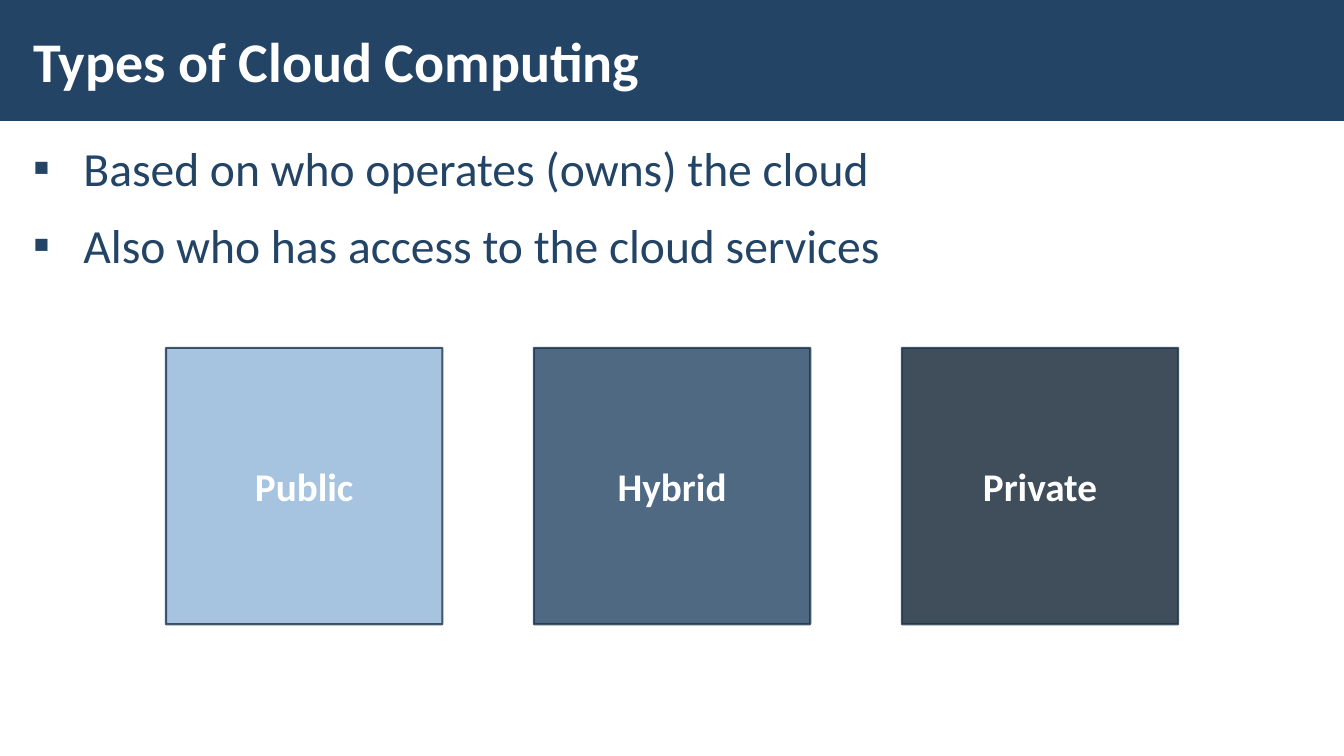
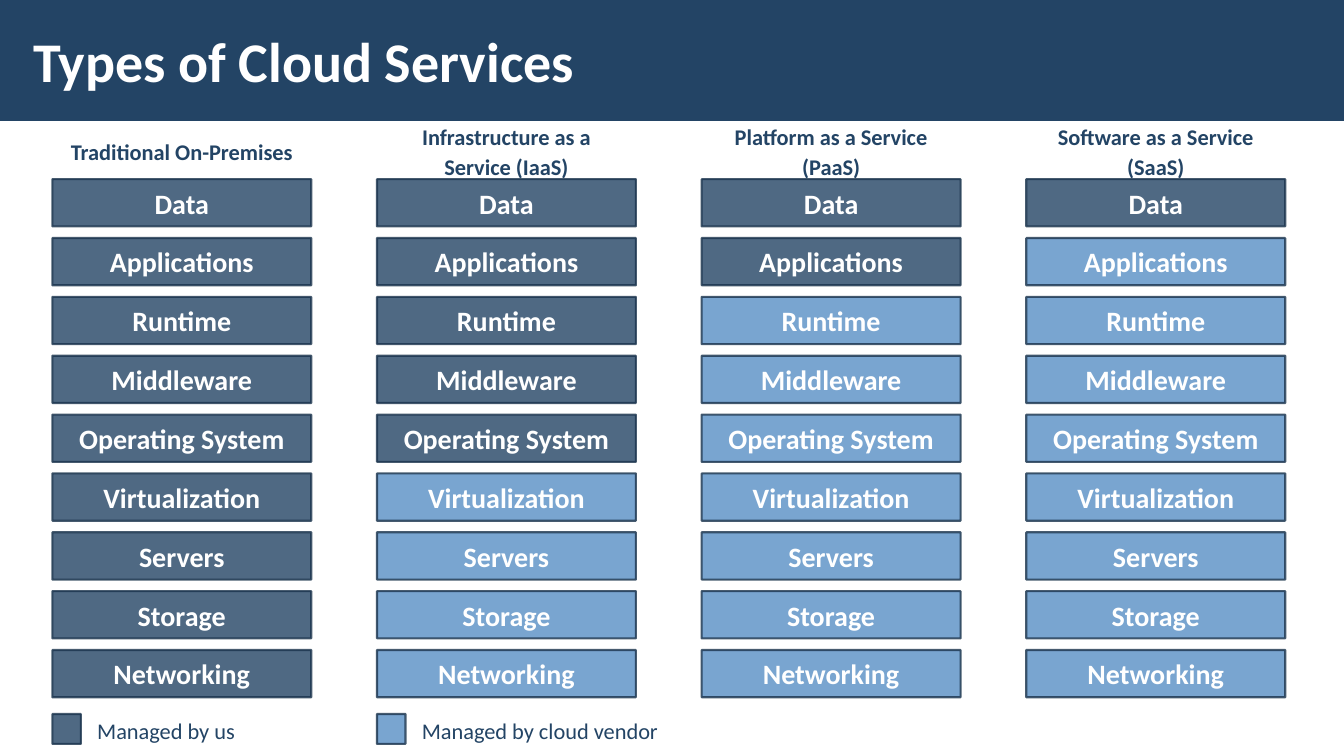
import pptx
import pptx.dml.color
import pptx.enum.shapes
import pptx.enum.text
import pptx.oxml.ns
import pptx.util
from lxml import etree

Pt = pptx.util.Pt
ALIGN = pptx.enum.text.PP_ALIGN
ANCHOR = pptx.enum.text.MSO_ANCHOR
qn = pptx.oxml.ns.qn

# Shared style
FONT = "Calibri"
NAVY, BLUE, PALE, DARK = "234465", "588FC5", "90B4D8", "112233"
OUTLINE, WHITE = "1A334C", "FFFFFF"
SLIDE_W, SLIDE_H = 960, 540
BAND_H = 86.4

LAYERS = ["Data", "Applications", "Runtime", "Middleware", "Operating System",
          "Virtualization", "Servers", "Storage", "Networking"]
# Service model and the number of layers, from the top, managed by us
MODELS = [("Traditional On-Premises", 9),
          ("Infrastructure as a Service (IaaS)", 5),
          ("Platform as a Service (PaaS)", 2),
          ("Software as a Service (SaaS)", 1)]
COL_LEFT, COL_STEP, COL_W = 37.4, 231.9, 185


def rgb(color):
    return pptx.dml.color.RGBColor.from_string(color)


def set_alpha(sp, percent):
    """Make the fill and the line of a shape partly transparent."""
    for clr in sp._element.spPr.iter(qn("a:srgbClr")):
        etree.SubElement(clr, qn("a:alpha")).set("val", str(percent * 1000))


def style_text(tf, size, color, bold=False, align=ALIGN.LEFT,
               anchor=ANCHOR.MIDDLE, inset=(7.2, 3.6), spacing=None):
    tf.word_wrap = True
    tf.auto_size = pptx.enum.text.MSO_AUTO_SIZE.NONE
    tf.vertical_anchor = anchor
    tf.margin_left = tf.margin_right = Pt(inset[0])
    tf.margin_top = tf.margin_bottom = Pt(inset[1])
    for p in tf.paragraphs:
        p.alignment = align
        if spacing:
            p.line_spacing = spacing
        for r in p.runs:
            r.font.name, r.font.size, r.font.bold = FONT, Pt(size), bold
            r.font.color.rgb = rgb(color)


def place(sp, x, y, w, h):
    sp.left, sp.top, sp.width, sp.height = Pt(x), Pt(y), Pt(w), Pt(h)


def add_box(s, x, y, w, h, fill, text="", size=20):
    sp = s.shapes.add_shape(pptx.enum.shapes.MSO_SHAPE.RECTANGLE,
                            Pt(x), Pt(y), Pt(w), Pt(h))
    sp.shadow.inherit = False
    sp.fill.solid()
    sp.fill.fore_color.rgb = rgb(fill)
    sp.line.color.rgb = rgb(OUTLINE)
    sp.line.width = Pt(1.5)
    set_alpha(sp, 80)
    if text:
        sp.text_frame.text = text
        style_text(sp.text_frame, size, WHITE, True, ALIGN.CENTER)


def add_label(s, x, y, w, h, text, bold=False, align=ALIGN.LEFT):
    tf = s.shapes.add_textbox(Pt(x), Pt(y), Pt(w), Pt(h)).text_frame
    tf.text = text
    style_text(tf, 16, NAVY, bold, align, inset=(11.5, 8.6), spacing=1.1)


def add_master_band(prs, s):
    """Draw the title band and move it behind everything on the master."""
    sp = s.shapes.add_shape(pptx.enum.shapes.MSO_SHAPE.RECTANGLE,
                            0, 0, Pt(SLIDE_W), Pt(BAND_H))
    sp.shadow.inherit = False
    sp.fill.solid()
    sp.fill.fore_color.rgb = rgb(NAVY)
    sp.line.fill.background()
    prs.slide_master.shapes._spTree.insert(2, sp._element)


def add_title(s, text):
    sp = s.shapes.title
    place(sp, 15, 8, 749, 70)
    sp.text_frame.text = text
    style_text(sp.text_frame, 40, WHITE, True, inset=(8.6, 2.9))


def fill_bullets(sp, x, y, w, h, lines):
    place(sp, x, y, w, h)
    tf = sp.text_frame
    tf.text = "\n".join(lines)
    style_text(tf, 34, NAVY, anchor=ANCHOR.TOP, inset=(8.6, 2.9), spacing=1.05)
    for p in tf.paragraphs:
        p.space_before = p.space_after = Pt(6)
        pPr = p._p.get_or_add_pPr()
        pPr.set("marL", str(Pt(36)))
        pPr.set("indent", str(-Pt(36)))
        etree.SubElement(pPr, qn("a:buFont")).set("typeface", FONT)
        etree.SubElement(pPr, qn("a:buChar")).set("char", "▪")


def add_cloud_types(s, x, y, side, step):
    types = [("Public", PALE), ("Hybrid", NAVY), ("Private", DARK)]
    for i, (name, fill) in enumerate(types):
        add_box(s, x + i * step, y, side, side, fill, name, 28)


def add_stack(s, x, y, w, model, ours):
    """Heading with the nine layers of one service model below it."""
    add_label(s, x, y, w, 59, model, True, ALIGN.CENTER)
    for i, layer in enumerate(LAYERS):
        add_box(s, x, y + 50.2 + i * 42.04, w, 33.8,
                NAVY if i < ours else BLUE, layer)


def add_legend_entry(s, x, y, fill, text):
    add_box(s, x, y, 20.4, 21.4, fill)
    add_label(s, x + 20.5, y - 8, 239, 37.4, text)


def types_slide(prs):
    s = prs.slides.add_slide(prs.slide_layouts[1])
    add_title(s, "Types of Cloud Computing")
    fill_bullets(s.placeholders[1], 15, 94.3, 930, 410,
                 ["Based on who operates (owns) the cloud",
                  "Also who has access to the cloud services"])
    add_cloud_types(s, 118.6, 248.5, 197.4, 262.8)
    return s


def services_slide(prs):
    s = prs.slides.add_slide(prs.slide_layouts[5])
    add_title(s, "Types of Cloud Services")
    for i, (model, ours) in enumerate(MODELS):
        add_stack(s, COL_LEFT + i * COL_STEP, 77.8, COL_W, model, ours)
    legend = [(NAVY, "Managed by us"), (BLUE, "Managed by cloud vendor")]
    for i, (fill, text) in enumerate(legend):
        add_legend_entry(s, COL_LEFT + i * COL_STEP, 510, fill, text)


def main():
    prs = pptx.Presentation()
    prs.slide_width, prs.slide_height = Pt(SLIDE_W), Pt(SLIDE_H)
    s = types_slide(prs)
    add_master_band(prs, s)
    services_slide(prs)
    prs.save("out.pptx")


if __name__ == "__main__":
    main()
